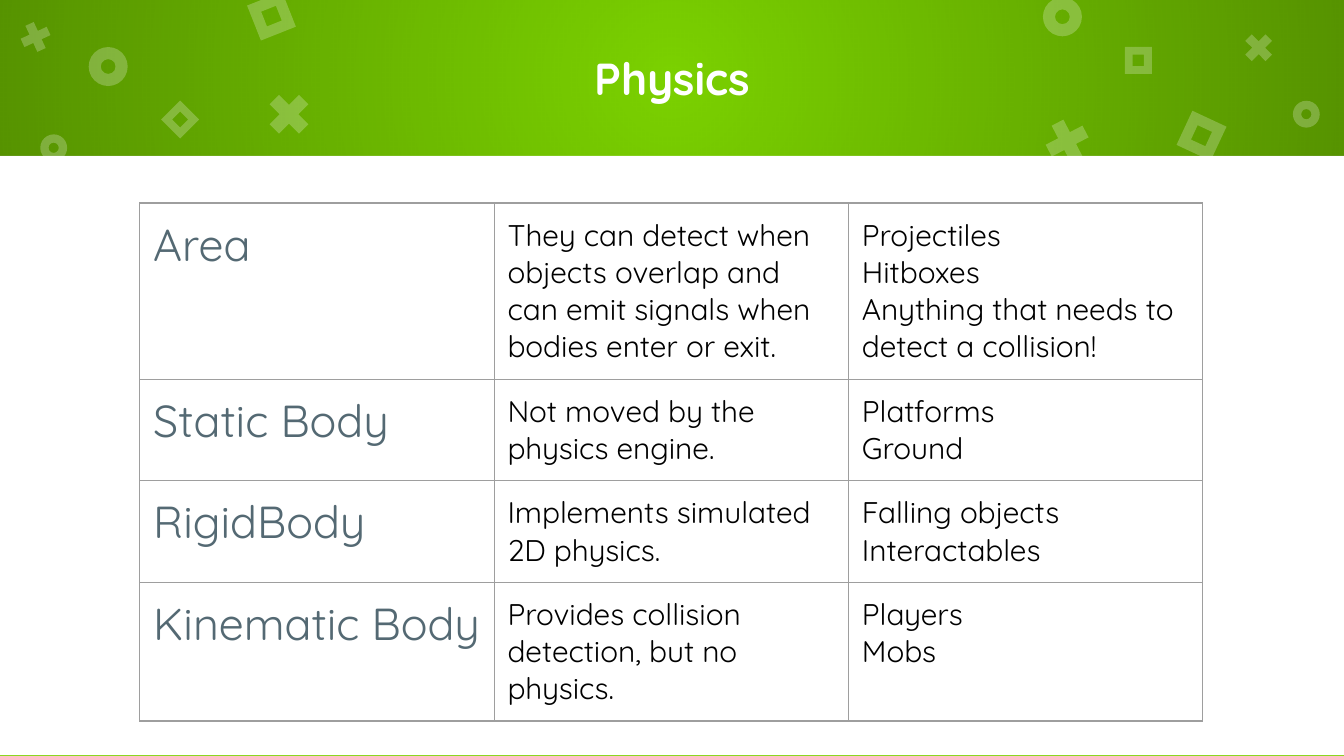
import pptx
import pptx.util
import pptx.oxml
import pptx.oxml.ns
import pptx.dml.color
import pptx.enum.shapes
import pptx.enum.text
from dataclasses import dataclass
from lxml import etree

Inches = pptx.util.Inches
Pt = pptx.util.Pt
Kind = pptx.enum.shapes.MSO_SHAPE
qn = pptx.oxml.ns.qn


@dataclass(frozen=True)
class Theme:
    font: str = "Quicksand"
    green: str = "7BD100"
    white: str = "FFFFFF"
    black: str = "000000"
    slate: str = "546973"
    rule: str = "9E9E9E"
    head: int = 24
    body: int = 16
    lead: int = 20  # line height of body text
    line: float = 0.75
    pad: float = 0.1


THEME = Theme()

# kind: (preset, thickness)
MARKS = {
    "ring": (Kind.DONUT, 0.31),
    "cross": (Kind.MATH_MULTIPLY, 0.235),
    "frame": (Kind.FRAME, 0.289),
}
# kind, left, top, size, turn
DECOR = [
    ("ring", 0.66, 0.35, 0.29, 0),
    ("cross", 1.94, 0.64, 0.42, 0),
    ("frame", 1.88, -0.02, 0.28, 338.4),
    ("ring", 7.76, -0.02, 0.29, 0),
    ("cross", 7.73, 0.84, 0.42, 17.5),
    ("frame", 8.8, 0.87, 0.28, 25),
    ("ring", 0.3, 1, 0.2, 0),
    ("cross", 0.12, 0.13, 0.29, 20.4),
    ("frame", 1.24, 0.79, 0.2, 45),
    ("ring", 9.62, 0.75, 0.2, 0),
    ("cross", 9.22, 0.21, 0.29, 0),
    ("frame", 8.37, 0.35, 0.2, 0),
]
# name, role, uses, lines of text
BODIES = [
    ("Area",
     "They can detect when objects overlap and can emit signals when bodies enter or exit.",
     ["Projectiles", "Hitboxes", "Anything that needs to detect a collision!"], 4),
    ("Static Body", "Not moved by the physics engine.", ["Platforms", "Ground"], 2),
    ("RigidBody", "Implements simulated 2D physics.", ["Falling objects", "Interactables"], 2),
    ("Kinematic Body", "Provides collision detection, but no physics.", ["Players", "Mobs"], 3),
]


def rgb(code):
    return pptx.dml.color.RGBColor.from_string(code)


def write(frame, lines, size, color, bold=False, align=None):
    for i, text in enumerate(lines):
        para = frame.paragraphs[0] if i == 0 else frame.add_paragraph()
        para.alignment = align
        run = para.add_run()
        run.text = text
        run.font.name = THEME.font
        run.font.size = Pt(size)
        run.font.bold = bold
        run.font.color.rgb = rgb(color)


def draw(slide, kind, box, color, alpha=None):
    """Add a plain filled shape, with opacity in percent."""
    shape = slide.shapes.add_shape(kind, *map(Inches, box))
    shape.shadow.inherit = False
    shape.line.fill.background()
    shape.fill.solid()
    shape.fill.fore_color.rgb = rgb(color)
    if alpha is not None:
        tint = shape.element.spPr.find(qn("a:solidFill")).find(qn("a:srgbClr"))
        etree.SubElement(tint, qn("a:alpha"), val=str(alpha * 1000))
    return shape


def shade(shape, color, edge):
    """Fade radially from clear in the middle to edge percent opacity."""
    stops = "".join(
        f'<a:gs pos="{pos * 1000}"><a:srgbClr val="{color}">'
        f'<a:alpha val="{alpha * 1000}"/></a:srgbClr></a:gs>'
        for pos, alpha in ((0, 0), (100, edge)))
    grad = pptx.oxml.parse_xml(
        f'<a:gradFill {pptx.oxml.ns.nsdecls("a")}><a:gsLst>{stops}</a:gsLst>'
        '<a:path path="circle"><a:fillToRect l="50000" t="50000" r="50000" b="50000"/>'
        '</a:path></a:gradFill>')
    solid = shape.element.spPr.find(qn("a:solidFill"))
    solid.getparent().replace(solid, grad)


def banner(slide, box, text):
    left, top, width, height = box
    shade(draw(slide, Kind.RECTANGLE, box, THEME.black), THEME.black, 30)
    for name, x, y, size, turn in DECOR:
        kind, thick = MARKS[name]
        mark = draw(slide, kind, (left + x, top + y, size, size), THEME.white, 24)
        mark.adjustments[0] = thick
        mark.rotation = turn

    title = slide.shapes.title
    title.left, title.top = Inches(left + 0.5), Inches(top)
    title.width, title.height = Inches(width - 1), Inches(height)
    frame = title.text_frame
    frame.vertical_anchor = pptx.enum.text.MSO_ANCHOR.MIDDLE
    frame.margin_left = frame.margin_right = Inches(THEME.pad)
    frame.margin_top = frame.margin_bottom = Inches(THEME.pad)
    write(frame, [text], THEME.head, THEME.white, True, pptx.enum.text.PP_ALIGN.CENTER)
    title.element.getparent().append(title.element)  # bring to front


def border(cell):
    props = cell._tc.get_or_add_tcPr()
    for i, side in enumerate("LRTB"):
        props.insert(i, pptx.oxml.parse_xml(
            f'<a:ln{side} {pptx.oxml.ns.nsdecls("a")} w="{int(Pt(THEME.line))}">'
            f'<a:solidFill><a:srgbClr val="{THEME.rule}"/></a:solidFill></a:ln{side}>'))


def grid(slide, box):
    table = slide.shapes.add_table(len(BODIES), 3, *map(Inches, box)).table
    table.first_row = table.horz_banding = False
    for col in table.columns:
        col.width = Inches(box[2] / 3)
    for row, (name, role, uses, count) in zip(table.rows, BODIES):
        row.height = Pt(count * THEME.lead) + 2 * Inches(THEME.pad)
        parts = [
            ([name], THEME.head, THEME.slate),
            ([role], THEME.body, THEME.black),
            (uses, THEME.body, THEME.black),
        ]
        for cell, part in zip(row.cells, parts):
            cell.margin_left = cell.margin_right = Inches(THEME.pad)
            cell.margin_top = cell.margin_bottom = Inches(THEME.pad)
            cell.fill.background()
            border(cell)
            write(cell.text_frame, *part)


def main():
    deck = pptx.Presentation()
    deck.slide_width = Inches(10)
    deck.slide_height = deck.slide_width * 9 // 16
    slide = deck.slides.add_slide(deck.slide_layouts[5])
    slide.background.fill.solid()
    slide.background.fill.fore_color.rgb = rgb(THEME.green)
    draw(slide, Kind.RECTANGLE, (0, 1.16, 10, 4.46), THEME.white)
    banner(slide, (0, 0, 10, 1.16), "Physics")
    grid(slide, (1.04, 1.51, 7.91, 3.84))
    deck.save("out.pptx")


if __name__ == "__main__":
    main()
